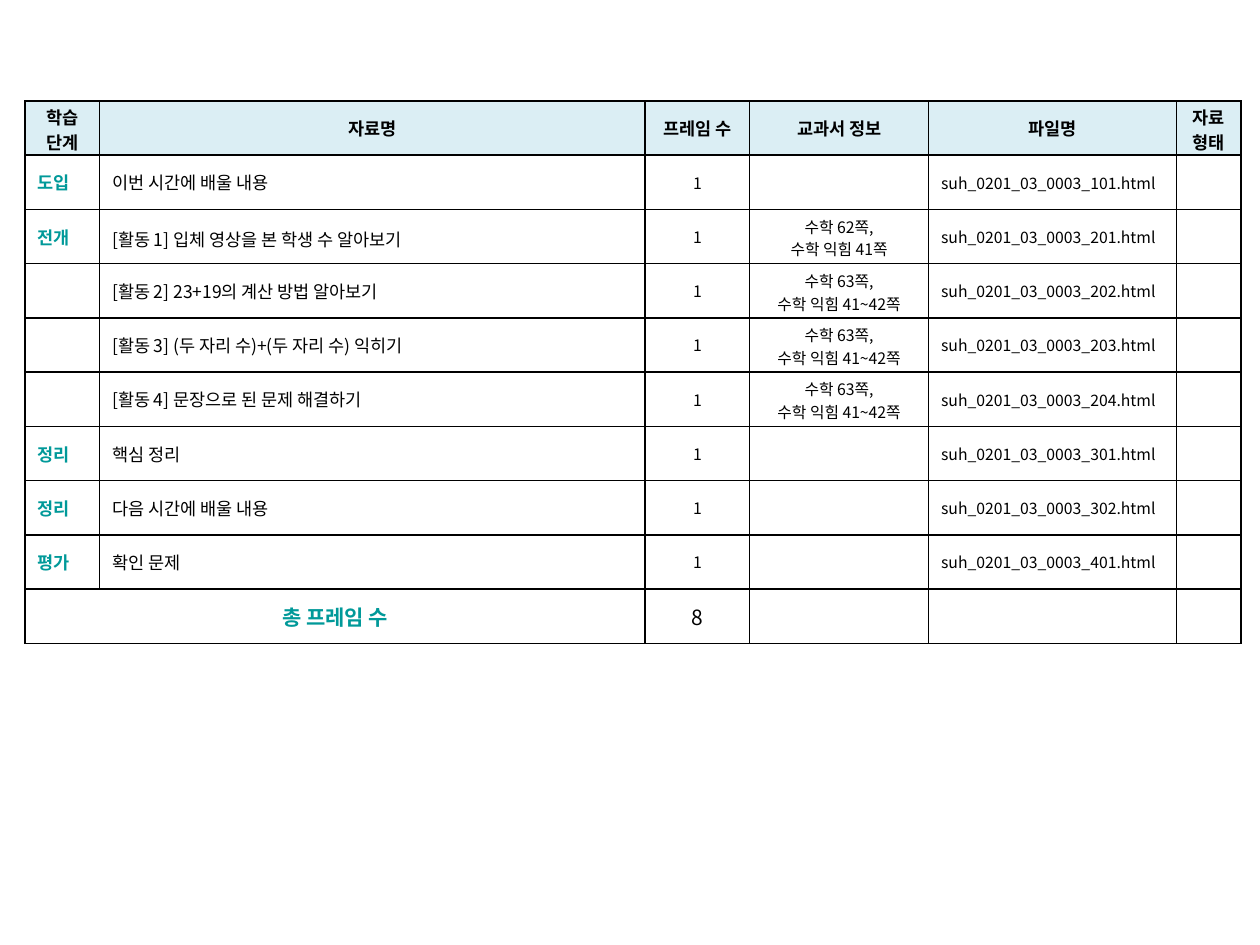
"""Build a lesson plan table of study steps, materials and files."""
from lxml.etree import SubElement
from pptx import Presentation
from pptx.dml.color import RGBColor
from pptx.enum.text import MSO_ANCHOR, PP_ALIGN
from pptx.oxml.ns import qn
from pptx.util import Inches, Pt

THEME = {
    "font": "Noto Sans CJK KR",
    "ink": RGBColor(0, 0, 0),
    "teal": RGBColor(0, 0x99, 0x99),
    "head": RGBColor(0xDB, 0xEE, 0xF4),
    "page": RGBColor(0xFF, 0xFF, 0xFF),
    "line": "000000",
    "sizes": (10, 10, 9, 9, 9, 9),
    "total": 12,
}
LEFT, MID, JUST = PP_ALIGN.LEFT, PP_ALIGN.CENTER, PP_ALIGN.JUSTIFY
ALIGNS = (JUST, LEFT, MID, MID, LEFT, LEFT)
WIDTHS = (0.59, 4.33, 0.83, 1.42, 1.97, 0.51)
HIGH = 0.431

steps = [
    ("도입", "이번 시간에 배울 내용", "", "101"),
    ("전개", "[활동 1] 입체 영상을 본 학생 수 알아보기", "수학 62쪽,\n수학 익힘 41쪽", "201"),
    ("", "[활동 2] 23+19의 계산 방법 알아보기", "수학 63쪽,\n수학 익힘 41~42쪽", "202"),
    ("", "[활동 3] (두 자리 수)+(두 자리 수) 익히기", "수학 63쪽,\n수학 익힘 41~42쪽", "203"),
    ("", "[활동 4] 문장으로 된 문제 해결하기", "수학 63쪽,\n수학 익힘 41~42쪽", "204"),
    ("정리", "핵심 정리", "", "301"),
    ("정리", "다음 시간에 배울 내용", "", "302"),
    ("평가", "확인 문제", "", "401"),
]
rows = [("학습 단계", "자료명", "프레임 수", "교과서 정보", "파일명", "자료\n형태")]
for step, name, book, code in steps:
    rows.append((step, name, "1", book, f"suh_0201_03_0003_{code}.html", ""))
rows.append(("총 프레임 수", "", str(len(steps)), "", "", ""))
last = len(rows) - 1


def set_lines(cell):
    props = cell._tc.get_or_add_tcPr()
    for side in ("a:lnL", "a:lnR", "a:lnT", "a:lnB"):
        line = SubElement(props, qn(side), w=str(Pt(1)))
        fill = SubElement(line, qn("a:solidFill"))
        SubElement(fill, qn("a:srgbClr"), val=THEME["line"])


def set_font(para, size, bold, color):
    font = para.font
    font.name, font.size, font.bold = THEME["font"], Pt(size), bold
    font.color.rgb = color
    props = para._p.pPr.find(qn("a:defRPr"))
    SubElement(props, qn("a:ea"), typeface=THEME["font"])


deck = Presentation()
deck.slide_width, deck.slide_height = Inches(10), Inches(7.5)
slide = deck.slides.add_slide(deck.slide_layouts[6])
table = slide.shapes.add_table(
    len(rows), len(WIDTHS), Inches(0.2), Inches(0.8),
    Inches(sum(WIDTHS)), Inches(HIGH * len(rows))).table
table.first_row = table.horz_banding = False
for col, width in zip(table.columns, WIDTHS):
    col.width = Inches(width)

for i, row in enumerate(rows):
    table.rows[i].height = Inches(HIGH)
    for j, text in enumerate(row):
        cell = table.cell(i, j)
        set_lines(cell)
        cell.fill.solid()
        cell.fill.fore_color.rgb = THEME["page" if i else "head"]
        cell.vertical_anchor = MSO_ANCHOR.MIDDLE
        cell.text = text
        if not text or "\n" in text or (i, j) == (0, 0):
            cell.margin_top, cell.margin_bottom = Inches(0.02), 0
        size = THEME["total"] if i == last else THEME["sizes"][j] if i else 10
        color = THEME["teal" if i and j == 0 else "ink"]
        for para in cell.text_frame.paragraphs:
            para.alignment = MID if i in (0, last) else ALIGNS[j]
            set_font(para, size, i == 0 or j == 0, color)

table.cell(last, 0).merge(table.cell(last, 1))
first = table.cell(2, 1).text_frame.paragraphs[0]
first.alignment, first.line_spacing = JUST, 1.2
deck.save("out.pptx")
